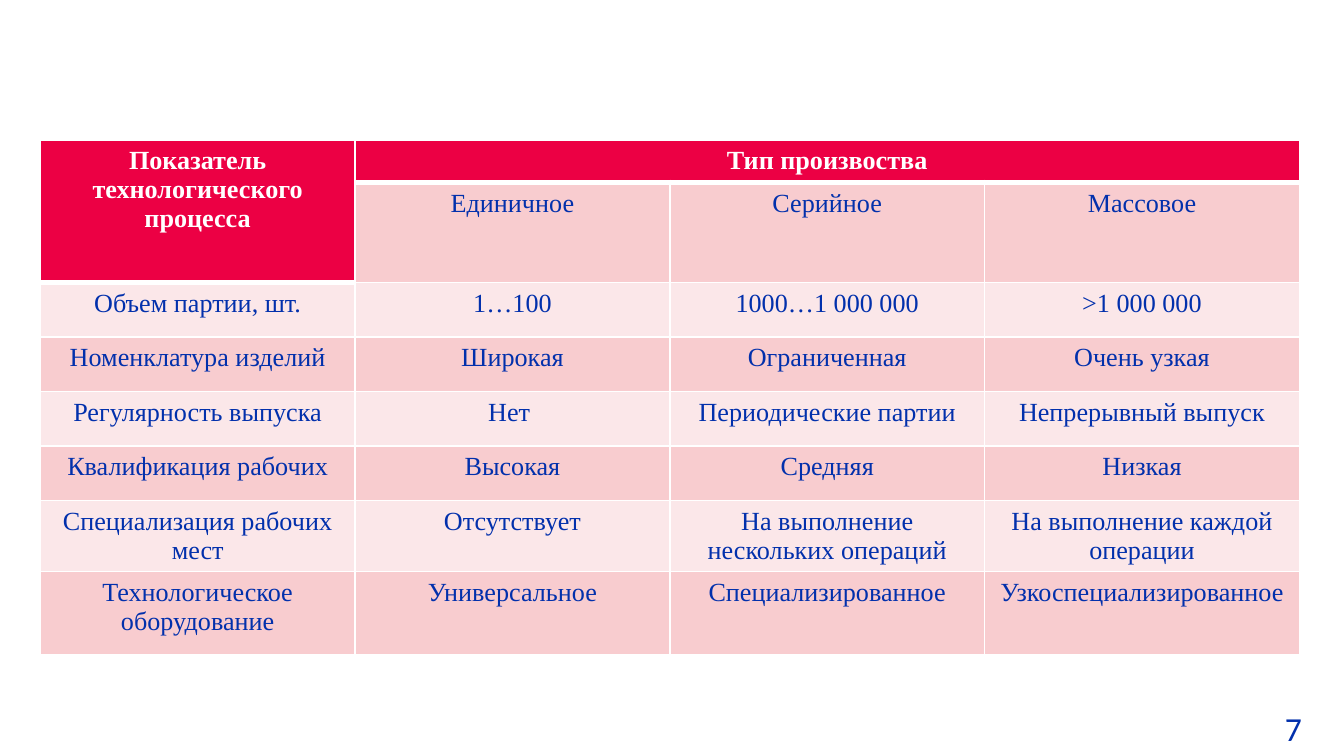
import dataclasses

import lxml.etree
import pptx
import pptx.dml.color
import pptx.enum.text
import pptx.oxml.ns
import pptx.util


@dataclasses.dataclass(frozen=True)
class Theme:
    header: str = "EC0044"
    band_dark: str = "F8CCCF"
    band_light: str = "FBE7E9"
    ink: str = "0230AC"
    white: str = "FFFFFF"
    table_font: str = "Times New Roman"
    number_font: str = "Calibri"
    table_size: int = 14
    number_size: int = 18
    thin: int = 1
    thick: int = 3


THEME = Theme()
SLIDE_W = pptx.util.Inches(10)
SLIDE_H = SLIDE_W * 9 // 16

# Row heights in centimetres: two header rows, then the indicators
ROW_HEIGHTS = [0.78, 1.89] + [1.03] * 4 + [1.34, 1.57]
INDICATORS = [
    ["Показатель технологического процесса", "Тип произвоства", "", ""],
    ["", "Единичное", "Серийное", "Массовое"],
    ["Объем партии, шт.", "1…100", "1000…1 000 000", ">1 000 000"],
    ["Номенклатура изделий", "Широкая", "Ограниченная", "Очень узкая"],
    ["Регулярность выпуска", "Нет ", "Периодические партии", "Непрерывный выпуск"],
    ["Квалификация рабочих", "Высокая", "Средняя", "Низкая"],
    ["Специализация рабочих мест", "Отсутствует",
     "На выполнение нескольких операций", "На выполнение каждой операции"],
    ["Технологическое оборудование", "Универсальное", "Специализированное",
     "Узкоспециализированное"],
]


def format_text(paragraph, font_name, size, color, bold=False):
    for run in paragraph.runs:
        run.font.name = font_name
        run.font.size = pptx.util.Pt(size)
        run.font.bold = bold
        run.font.color.rgb = pptx.dml.color.RGBColor.from_string(color)


def is_header(row, column):
    return row == 0 or (row == 1 and column == 0)


def set_borders(cell, row, column):
    """White grid, thicker along the lower edge of the header."""
    below_header = row > 0 and is_header(row - 1, column) and not is_header(row, column)
    widths = {
        "a:lnL": THEME.thin,
        "a:lnR": THEME.thin,
        "a:lnT": THEME.thick if below_header else THEME.thin,
        "a:lnB": THEME.thick if is_header(row, column) else THEME.thin,
    }
    qn = pptx.oxml.ns.qn
    properties = cell._tc.get_or_add_tcPr()
    for tag, width in widths.items():
        edge = lxml.etree.SubElement(properties, qn(tag), w=str(pptx.util.Pt(width)))
        paint = lxml.etree.SubElement(edge, qn("a:solidFill"))
        lxml.etree.SubElement(paint, qn("a:srgbClr"), val=THEME.white)


def style_cell(cell, row, column, wording):
    header = is_header(row, column)
    band = THEME.band_dark if row % 2 else THEME.band_light
    set_borders(cell, row, column)
    cell.fill.solid()
    cell.fill.fore_color.rgb = pptx.dml.color.RGBColor.from_string(
        THEME.header if header else band)
    if wording:
        cell.text_frame.text = wording
        paragraph = cell.text_frame.paragraphs[0]
        paragraph.alignment = pptx.enum.text.PP_ALIGN.CENTER
        format_text(paragraph, THEME.table_font, THEME.table_size,
                    THEME.white if header else THEME.ink, header)


def add_production_table(slide, left, top, width):
    height = pptx.util.Cm(sum(ROW_HEIGHTS))
    columns = len(INDICATORS[0])
    table = slide.shapes.add_table(
        len(INDICATORS), columns, left, top, width, height).table
    for column in table.columns:
        column.width = width // columns
    for row, row_height in zip(table.rows, ROW_HEIGHTS):
        row.height = pptx.util.Cm(row_height)

    # Two-level header
    table.cell(0, 0).merge(table.cell(1, 0))
    table.cell(0, 1).merge(table.cell(0, columns - 1))

    for r, wordings in enumerate(INDICATORS):
        for c, wording in enumerate(wordings):
            style_cell(table.cell(r, c), r, c, wording)


def add_page_number(slide, left, top, width, height, number):
    page_number = slide.shapes.add_textbox(left, top, width, height)
    frame = page_number.text_frame
    frame.word_wrap = True
    frame.auto_size = pptx.enum.text.MSO_AUTO_SIZE.SHAPE_TO_FIT_TEXT
    frame.margin_left = int(width * 0.44)
    frame.text = number
    format_text(frame.paragraphs[0], THEME.number_font, THEME.number_size, THEME.ink)


def main():
    presentation = pptx.Presentation()
    presentation.slide_width, presentation.slide_height = SLIDE_W, SLIDE_H
    slide = presentation.slides.add_slide(presentation.slide_layouts[6])

    # Production types table
    add_production_table(slide, int(SLIDE_W * 0.03), int(SLIDE_W * 0.104),
                         pptx.util.Inches(9.37))

    # Page number in the lower right corner
    add_page_number(slide, int(SLIDE_W * 0.923), int(SLIDE_W * 0.522),
                    int(SLIDE_W * 0.075), int(SLIDE_W * 0.04), "7")

    presentation.save("out.pptx")


if __name__ == "__main__":
    main()
